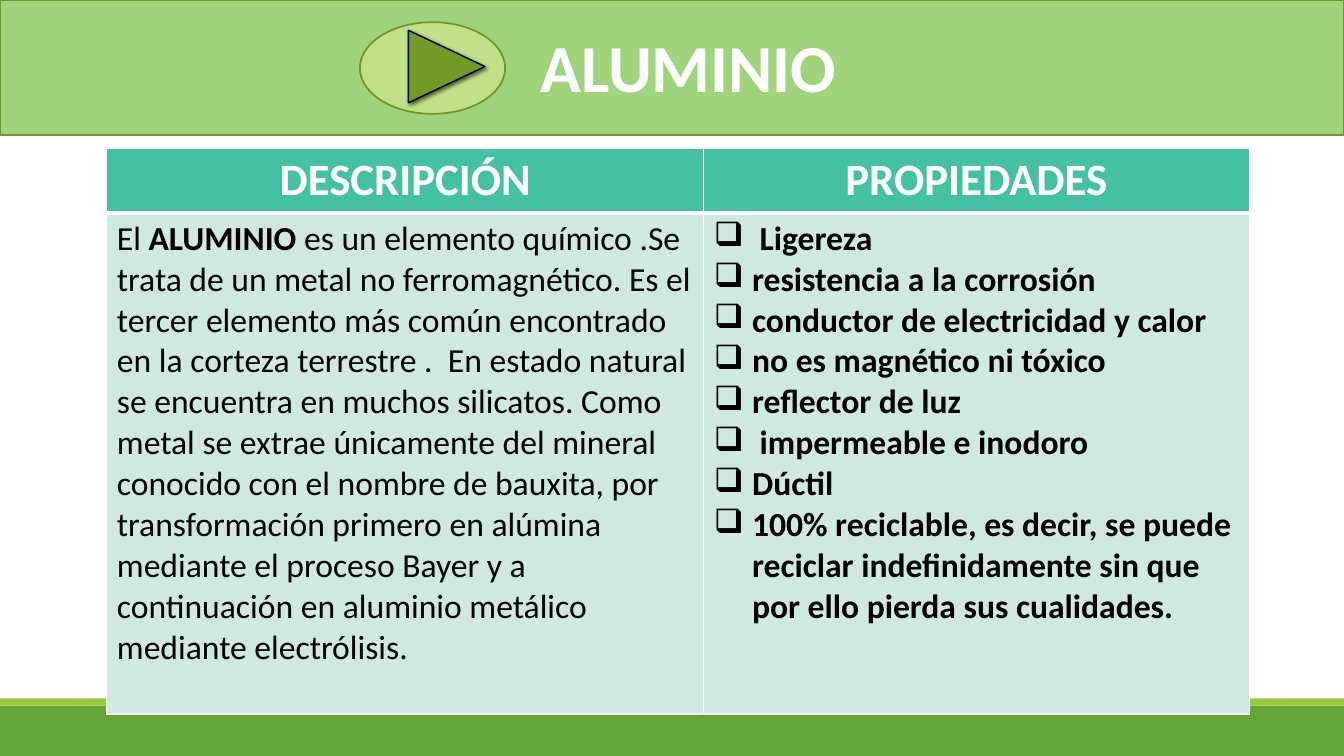
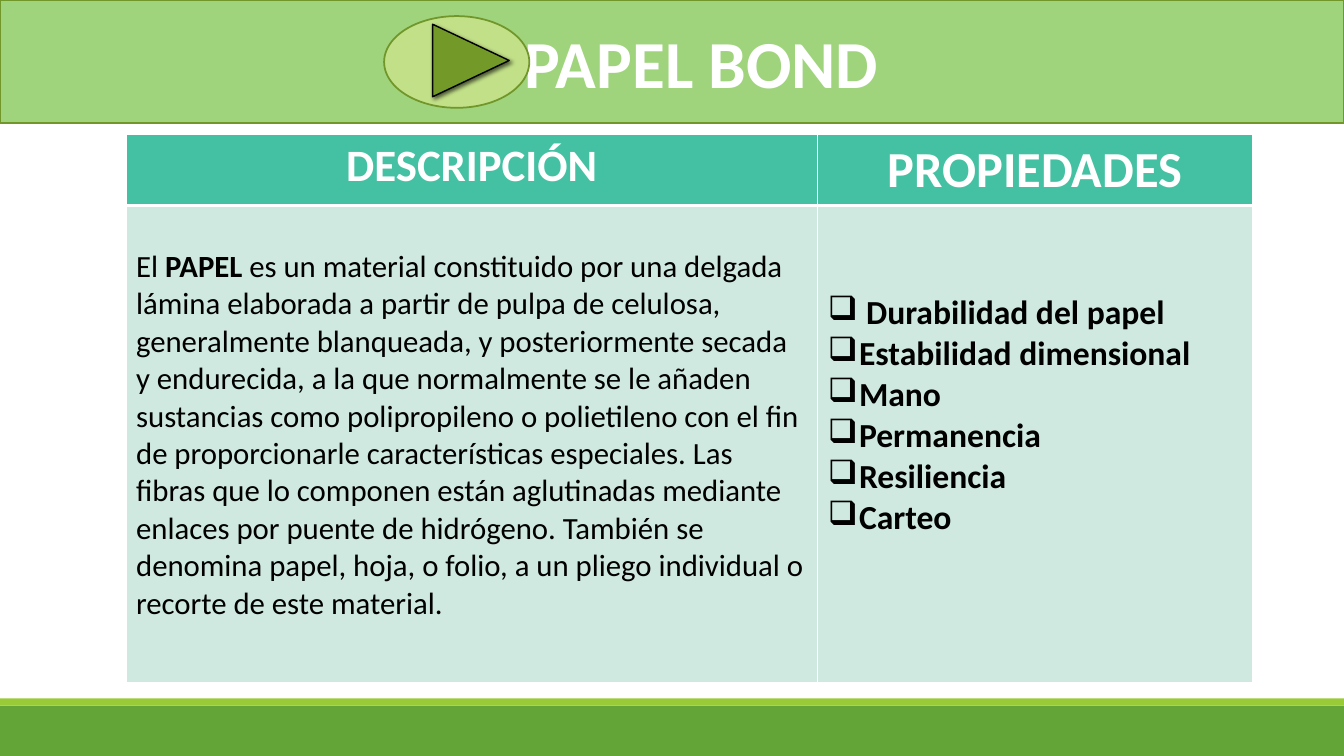
from lxml import etree
from pptx import Presentation
from pptx.dml.color import RGBColor
from pptx.enum.shapes import MSO_SHAPE
from pptx.enum.text import MSO_ANCHOR, PP_ALIGN
from pptx.oxml import parse_xml
from pptx.oxml.ns import qn
from pptx.util import Inches, Pt

RECT, OVAL, TRIANGLE = MSO_SHAPE.RECTANGLE, MSO_SHAPE.OVAL, MSO_SHAPE.ISOSCELES_TRIANGLE
CENTER, MIDDLE = PP_ALIGN.CENTER, MSO_ANCHOR.MIDDLE
DRAWING_NS = "http://schemas.openxmlformats.org/drawingml/2006/main"

FONT = "Calibri"
WHITE, BLACK = "FFFFFF", "000000"
BANNER, OLIVE_LINE, LIME, OLIVE = "9FD47D", "719629", "C2E088", "739A28"
FOOTER, FOOTER_EDGE = "63A537", "99CB38"
HEADER_FILL, BODY_FILL = "44C1A3", "CFE9E0"
SLIDE_W, SLIDE_H = 13.33, 7.5

# Content: headers are (text, size), list items are (text, indent)
SLIDES = [
    dict(
        title="ALUMINIO", title_at=(2.71, 0.2), banner_h=1.34, icon_at=(3.57, 0.22),
        table_at=(1.06, 1.47), cols=(5.92, 5.41), rows=(0.64, 4.97),
        headers=[("DESCRIPCIÓN", 32), ("PROPIEDADES", 32)],
        description=[
            ("El ", False), ("ALUMINIO", True),
            (" es un elemento químico .Se trata de un metal no ferromagnético. "
             "Es el tercer elemento más común encontrado en la corteza terrestre .  "
             "En estado natural se encuentra en muchos silicatos. Como metal se extrae "
             "únicamente del mineral conocido con el nombre de bauxita, por transformación "
             "primero en alúmina mediante el proceso Bayer y a continuación en aluminio "
             "metálico mediante electrólisis.", False)],
        description_size=24,
        properties=[
            (" Ligereza", 0.38), ("resistencia a la corrosión", 0.38),
            ("conductor de electricidad y calor", 0.38),
            ("no es magnético ni tóxico", 0.38), ("reflector de luz", 0.38),
            (" impermeable e inodoro", 0.38), ("Dúctil", 0.38),
            ("100% reciclable, es decir, se puede reciclar indefinidamente sin que "
             "por ello pierda sus cualidades.", 0.38)],
        body_tops=(0.05, 0.05)),
    dict(
        title="PAPEL BOND", title_at=(2.84, 0.16), banner_h=1.22, icon_at=(3.81, 0.16),
        table_at=(1.25, 1.33), cols=(6.86, 4.31), rows=(0.71, 4.73),
        headers=[("DESCRIPCIÓN", 32), ("PROPIEDADES", 36)],
        description=[
            ("El ", False), ("PAPEL", True),
            (" es un material constituido por una delgada lámina elaborada a partir de "
             "pulpa de celulosa, generalmente blanqueada, y posteriormente secada y "
             "endurecida, a la que normalmente se le añaden sustancias como polipropileno "
             "o polietileno con el fin de proporcionarle características especiales. Las "
             "fibras que lo componen están aglutinadas mediante enlaces por puente de "
             "hidrógeno. También se denomina papel, hoja, o folio, a un pliego individual "
             "o recorte de este material.", False)],
        description_size=22,
        properties=[
            ("Durabilidad del papel", 0.38), ("Estabilidad dimensional", 0.31),
            ("Mano", 0.31), ("Permanencia", 0.31), ("Resiliencia", 0.31),
            ("Carteo", 0.31)],
        body_tops=(0.42, 0.86)),
]


def rgb(color):
    return RGBColor.from_string(color)


def add_box(s, kind, x, y, w, h, fill, line=None, width=1.25):
    sp = s.shapes.add_shape(kind, Inches(x), Inches(y), Inches(w), Inches(h))
    sp.shadow.inherit = False
    sp.fill.solid()
    sp.fill.fore_color.rgb = rgb(fill)
    if line:
        sp.line.color.rgb = rgb(line)
        sp.line.width = Pt(width)
    else:
        sp.line.fill.background()
    return sp


def add_run(p, text, size, color, bold):
    r = p.add_run()
    r.text = text
    r.font.name, r.font.size, r.font.bold = FONT, Pt(size), bold
    r.font.color.rgb = rgb(color)


def add_bullet(p, indent):
    pPr = p._p.get_or_add_pPr()
    pPr.set("marL", str(Inches(indent)))
    pPr.set("indent", str(-Inches(indent)))
    etree.SubElement(pPr, qn("a:buChar")).set("char", "❑")


def style_cell(cell, fill, top_pt, bottom_pt):
    cell.fill.solid()
    cell.fill.fore_color.rgb = rgb(fill)
    tcPr = cell._tc.get_or_add_tcPr()
    borders = (("L", 1), ("R", 1), ("T", top_pt), ("B", bottom_pt))
    for i, (side, width) in enumerate(borders):
        tcPr.insert(i, parse_xml(
            f'<a:ln{side} xmlns:a="{DRAWING_NS}" w="{Pt(width)}"><a:solidFill>'
            f'<a:srgbClr val="{WHITE}"/></a:solidFill></a:ln{side}>'))


def add_footer(s):
    add_box(s, RECT, 0, 7, SLIDE_W, 0.5, FOOTER)
    add_box(s, RECT, 0, 6.93, SLIDE_W, 0.07, FOOTER_EDGE)


def add_play_icon(s, x, y):
    add_box(s, OVAL, x, y, 1.44, 0.91, LIME, OLIVE_LINE)
    sp = add_box(s, TRIANGLE, x + 0.5, y + 0.06, 0.72, 0.76, OLIVE, BLACK, 1)
    sp.rotation = 90
    sp._element.spPr.find(qn("a:effectLst")).append(parse_xml(
        f'<a:outerShdw xmlns:a="{DRAWING_NS}" blurRad="{Pt(3)}" dist="{Pt(2)}" '
        f'dir="2700000" rotWithShape="0"><a:srgbClr val="{BLACK}">'
        '<a:alpha val="60000"/></a:srgbClr></a:outerShdw>'))


def add_banner(s, item):
    add_box(s, RECT, 0, 0, SLIDE_W, item["banner_h"], BANNER, OLIVE_LINE)
    x, y = item["title_at"]
    tf = s.shapes.add_textbox(Inches(x), Inches(y), Inches(8.24), Inches(0.91)).text_frame
    tf.word_wrap = True
    tf.vertical_anchor = MIDDLE
    p = tf.paragraphs[0]
    p.alignment = CENTER
    add_run(p, item["title"], 48, WHITE, True)
    add_play_icon(s, *item["icon_at"])


def add_material_table(s, item):
    x, y = item["table_at"]
    cols, rows = item["cols"], item["rows"]
    table = s.shapes.add_table(2, 2, Inches(x), Inches(y),
                               Inches(sum(cols)), Inches(sum(rows))).table
    for i in range(2):
        table.columns[i].width = Inches(cols[i])
        table.rows[i].height = Inches(rows[i])

    # Header row and cell styles
    for i, (text, size) in enumerate(item["headers"]):
        head, body = table.cell(0, i), table.cell(1, i)
        style_cell(head, HEADER_FILL, 1, 3)
        style_cell(body, BODY_FILL, 3, 1)
        body.margin_top = Inches(item["body_tops"][i])
        p = head.text_frame.paragraphs[0]
        p.alignment = CENTER
        add_run(p, text, size, WHITE, True)

    # Description and properties
    p = table.cell(1, 0).text_frame.paragraphs[0]
    for text, bold in item["description"]:
        add_run(p, text, item["description_size"], BLACK, bold)
    tf = table.cell(1, 1).text_frame
    for i, (text, indent) in enumerate(item["properties"]):
        p = tf.add_paragraph() if i else tf.paragraphs[0]
        add_bullet(p, indent)
        add_run(p, text, 24, BLACK, True)


def main():
    prs = Presentation()
    prs.slide_width, prs.slide_height = Inches(SLIDE_W), Inches(SLIDE_H)
    for item in SLIDES:
        s = prs.slides.add_slide(prs.slide_layouts[6])
        add_footer(s)
        add_material_table(s, item)
        add_banner(s, item)
    prs.save("out.pptx")


if __name__ == "__main__":
    main()
